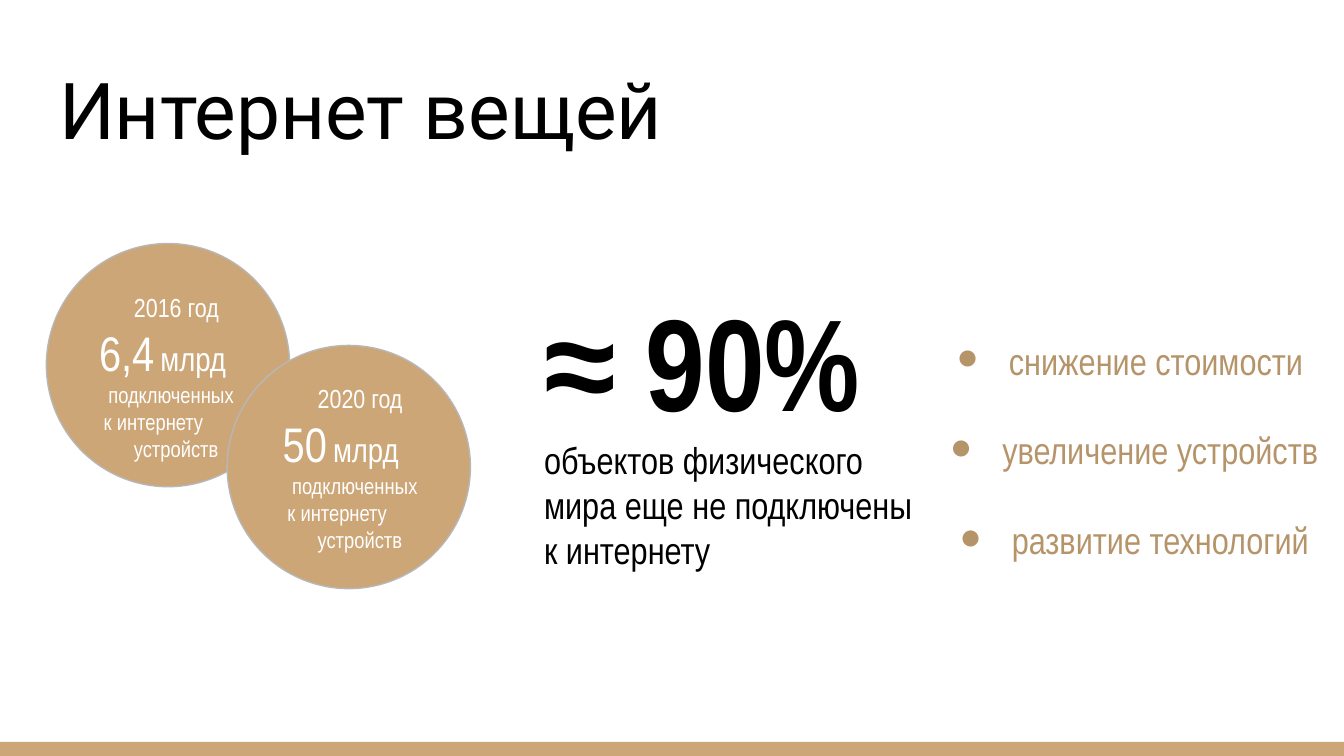
from dataclasses import dataclass

from lxml.etree import SubElement
from pptx import Presentation
from pptx.dml.color import RGBColor
from pptx.enum.shapes import MSO_SHAPE
from pptx.enum.text import MSO_ANCHOR, PP_ALIGN
from pptx.oxml.ns import qn
from pptx.util import Emu, Inches, Pt

COLS, ROWS = 100, 56.25
CELL = Inches(0.1)
DISC = 18.1
GOLD, BRONZE, GREY, BLACK, WHITE = "CCA677", "B6946A", "B7B7B7", "000000", "FFFFFF"
NARROW = "Arial Narrow"


@dataclass
class Box:
    col: float
    row: float
    cols: float
    rows: float


@dataclass
class Run:
    text: str
    size: float
    color: str = BLACK
    font: str = NARROW
    bold: bool = False


@dataclass
class Para:
    runs: list[Run]
    indent: float = 0
    bullet: bool = False


@dataclass
class Milestone:
    year: str
    amount: str
    disc: Box
    label: Box


def cells(n: float) -> Emu:
    return Emu(round(n * CELL))


def place(b: Box) -> tuple[Emu, ...]:
    return tuple(cells(n) for n in (b.col, b.row, b.cols, b.rows))


def rgb(color: str) -> RGBColor:
    return RGBColor.from_string(color)


def add_shape(s, kind: MSO_SHAPE, box: Box, line: str | None = None) -> None:
    sp = s.shapes.add_shape(kind, *place(box))
    sp.shadow.inherit = False
    sp.fill.solid()
    sp.fill.fore_color.rgb = rgb(GOLD)
    if line:
        sp.line.color.rgb = rgb(line)
        sp.line.width = Pt(0.75)
    else:
        sp.line.fill.background()


def set_bullet(p, color: str) -> None:
    p.alignment = PP_ALIGN.CENTER
    p.line_spacing = 2.0
    pPr = p._p.get_or_add_pPr()
    pPr.set("marL", str(cells(5)))
    pPr.set("indent", str(cells(-3.9)))
    SubElement(SubElement(pPr, qn("a:buClr")), qn("a:srgbClr"), val=color)
    SubElement(pPr, qn("a:buFont"), typeface=NARROW)
    SubElement(pPr, qn("a:buChar"), char="●")


def add_text(s, box: Box, paras: list[Para], anchor: MSO_ANCHOR = MSO_ANCHOR.TOP) -> None:
    tf = s.shapes.add_textbox(*place(box)).text_frame
    tf.word_wrap = True
    tf.vertical_anchor = anchor
    tf.margin_left = tf.margin_right = tf.margin_top = tf.margin_bottom = cells(1)
    for i, para in enumerate(paras):
        p = tf.add_paragraph() if i else tf.paragraphs[0]
        if para.bullet:
            set_bullet(p, para.runs[0].color)
        elif para.indent:
            p._p.get_or_add_pPr().set("marL", str(cells(para.indent)))
        for run in para.runs:
            r = p.add_run()
            r.text = run.text
            r.font.size = Pt(run.size)
            r.font.name = run.font
            r.font.bold = run.bold
            r.font.color.rgb = rgb(run.color)


def add_milestone(s, m: Milestone) -> None:
    add_shape(s, MSO_SHAPE.OVAL, m.disc, GREY)
    add_text(s, m.label, [
        Para([Run(f"{m.year} год", 14, WHITE)], 2.6),
        Para([Run(m.amount, 26, WHITE), Run(" ", 14, WHITE), Run("млрд", 18, WHITE)]),
        Para([Run("подключенных", 12, WHITE)], 0.7),
        Para([Run("к интернету", 12, WHITE)], 0.35),
        Para([Run("устройств", 12, WHITE)], 2.6),
    ])


MILESTONES = [
    Milestone("2016", "6,4", Box(3.45, 18.12, DISC, DISC), Box(6.38, 20.7, 15.2, 12.9)),
    Milestone("2020", "50", Box(16.9, 25.7, DISC, DISC), Box(20.05, 27.45, 15.2, 12.9)),
]
DRIVERS = ["снижение стоимости ", "увеличение устройств", "развитие технологий"]


def main() -> None:
    prs = Presentation()
    prs.slide_width, prs.slide_height = cells(COLS), cells(ROWS)
    s = prs.slides.add_slide(prs.slide_layouts[6])
    add_shape(s, MSO_SHAPE.RECTANGLE, Box(0, ROWS - 1.05, COLS, 1.05))
    add_text(s, Box(39.5, 19.87, 30.6, 22.6), [
        Para([Run("≈ 90%", 70, bold=True)]),
        Para([Run("объектов физического мира еще не подключены к интернету", 20)]),
    ])
    add_text(s, Box(3.41, 3.45, 93.2, 9.1),
             [Para([Run("Интернет вещей", 42, font="Roboto")])], MSO_ANCHOR.BOTTOM)
    for m in MILESTONES:
        add_milestone(s, m)
    add_text(s, Box(68.54, 20.8, 30.6, 20.7),
             [Para([Run(d, 20, BRONZE)], bullet=True) for d in DRIVERS])
    prs.save("out.pptx")


if __name__ == "__main__":
    main()
